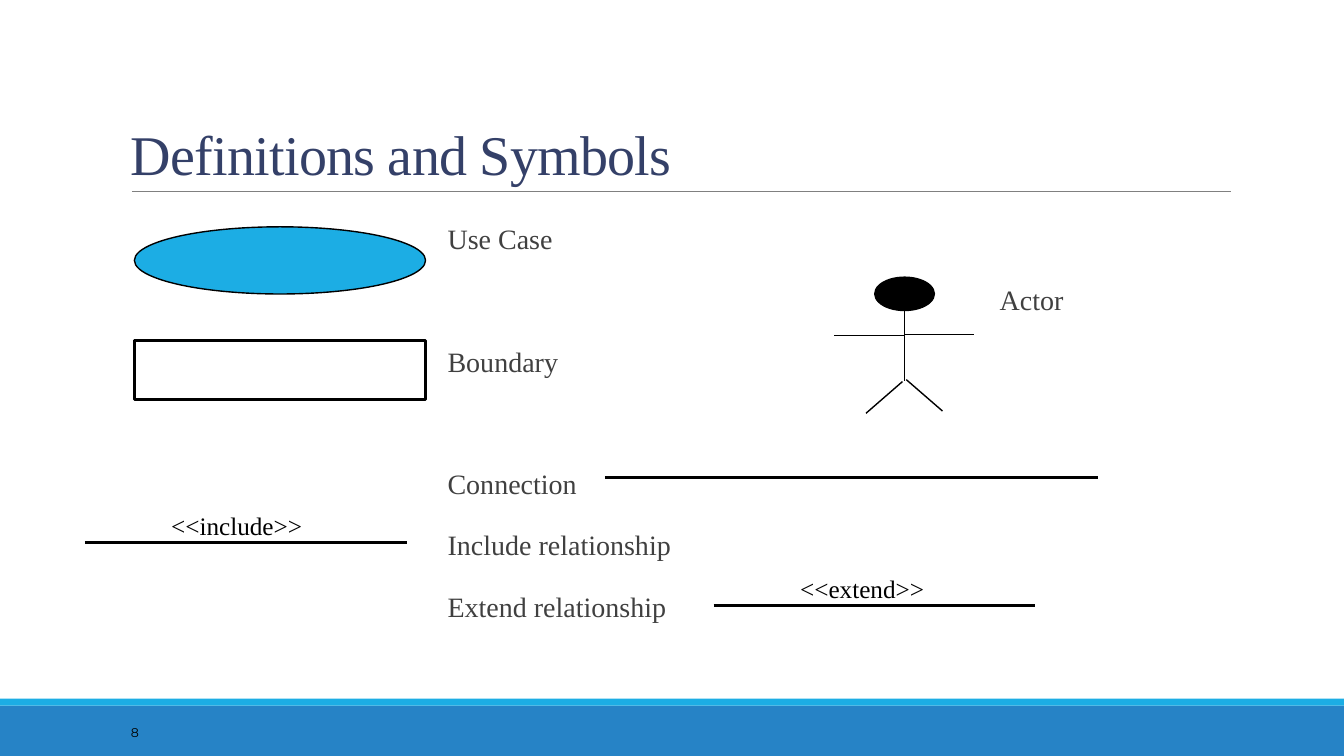
"""Build the slide of use case diagram definitions and symbols."""
from lxml.etree import SubElement
from pptx import Presentation
from pptx.dml.color import RGBColor
from pptx.enum.shapes import MSO_CONNECTOR, MSO_SHAPE
from pptx.enum.text import MSO_ANCHOR, PP_ALIGN
from pptx.oxml.ns import qn
from pptx.util import Pt

BLACK = RGBColor(0, 0, 0)
GRAY = RGBColor(0x80, 0x80, 0x80)
INK = RGBColor(0x40, 0x40, 0x40)
NAVY = RGBColor(0x34, 0x40, 0x68)
BLUE = RGBColor(0x26, 0x83, 0xC6)
CYAN = RGBColor(0x1C, 0xAD, 0xE4)
SERIF, SANS = "Times New Roman", "Montserrat"

TITLE = "Definitions and Symbols"
PAGE = "8"
ROW_PITCH = 42.8
DEFINITIONS = [
    ("Use Case", PP_ALIGN.LEFT, 0),
    ("Actor", PP_ALIGN.RIGHT, 0),
    ("Boundary", PP_ALIGN.LEFT, 0),
    ("Connection", PP_ALIGN.LEFT, 1),
    ("Include relationship", PP_ALIGN.LEFT, 0),
    ("Extend relationship", PP_ALIGN.LEFT, 0),
]
SYMBOLS = [
    (MSO_SHAPE.RECTANGLE, (0, 504, 960, 36), BLUE, None, 0),
    (MSO_SHAPE.RECTANGLE, (0, 499, 960, 5), CYAN, None, 0),
    (MSO_SHAPE.OVAL, (96, 162, 208, 48), CYAN, BLACK, 1),
    (MSO_SHAPE.RECTANGLE, (96, 243.2, 208, 42), None, BLACK, 2),
    (MSO_SHAPE.OVAL, (624.8, 198, 42.6, 23.8), BLACK, BLACK, 1),
]
TITLE_RULE = (94.3, 136.8, 879, 136.8)
ACTOR_LIMBS = [
    (646, 221.8, 646, 272),
    (646, 239, 696, 239),
    (596, 239.8, 646, 239.8),
    (647.4, 271.2, 673.2, 293.6),
    (644.6, 272.6, 618.6, 295.2),
]
RELATIONSHIPS = [
    ((432, 341, 784, 341), None, None),
    ((60.6, 387.4, 290.6, 387.4), "<<include>>", (115.2, 360.7, 108.7, 29)),
    ((509.8, 432.5, 739.6, 432.5), "<<extend>>", (564.5, 405.7, 103.7, 29)),
]


def add_symbol(slide, preset, box, fill, outline, width):
    symbol = slide.shapes.add_shape(preset, *map(Pt, box))
    symbol.shadow.inherit = False
    if fill is None:
        symbol.fill.background()
    else:
        symbol.fill.solid()
        symbol.fill.fore_color.rgb = fill
    if outline is None:
        symbol.line.fill.background()
    else:
        symbol.line.color.rgb = outline
        symbol.line.width = Pt(width)


def add_line(slide, ends, color, width):
    line = slide.shapes.add_connector(MSO_CONNECTOR.STRAIGHT, *map(Pt, ends))
    line.line.color.rgb = color
    line.line.width = Pt(width)
    SubElement(line._element.spPr, qn("a:effectLst"))


def style(paragraph, size, color, font=SERIF):
    for run in paragraph.runs:
        run.font.size = Pt(size)
        run.font.name = font
        run.font.color.rgb = color


def add_text(slide, box, text, size, color, font=SERIF, anchor=MSO_ANCHOR.TOP, wrap=True):
    frame = slide.shapes.add_textbox(*map(Pt, box)).text_frame
    frame.word_wrap = wrap
    frame.vertical_anchor = anchor
    frame.text = text
    style(frame.paragraphs[0], size, color, font)
    return frame


def add_definitions(slide):
    names = "\n".join(name for name, _, _ in DEFINITIONS)
    frame = add_text(slide, (319.7, 149.8, 440, 324), names, 20, INK)
    frame.margin_left = frame.margin_right = 0
    for paragraph, (_, alignment, skipped_rows) in zip(frame.paragraphs, DEFINITIONS):
        paragraph.alignment = alignment
        paragraph.line_spacing = 1.2
        paragraph.space_before = Pt(12 + skipped_rows * ROW_PITCH)
        paragraph.space_after = Pt(3.2)
        style(paragraph, 20, INK)


def main():
    deck = Presentation()
    deck.slide_width, deck.slide_height = Pt(960), Pt(540)
    slide = deck.slides.add_slide(deck.slide_layouts[6])

    for symbol in SYMBOLS:
        add_symbol(slide, *symbol)
    add_line(slide, TITLE_RULE, GRAY, 0.5)
    for limb in ACTOR_LIMBS:
        add_line(slide, limb, BLACK, 1)

    heading = add_text(slide, (86.4, 22.3, 792, 114.5), TITLE, 40, NAVY,
                       anchor=MSO_ANCHOR.BOTTOM).paragraphs[0]
    heading.line_spacing = 0.85
    heading.runs[0].font._element.set("spc", "-50")
    add_definitions(slide)

    for ends, label, box in RELATIONSHIPS:
        add_line(slide, ends, BLACK, 2.25)
        if label:
            add_text(slide, box, label, 18, BLACK, wrap=False)
    add_text(slide, (86.4, 508.6, 194.4, 28.8), PAGE, 9, BLACK, SANS, MSO_ANCHOR.MIDDLE)
    deck.save("out.pptx")


if __name__ == "__main__":
    main()
